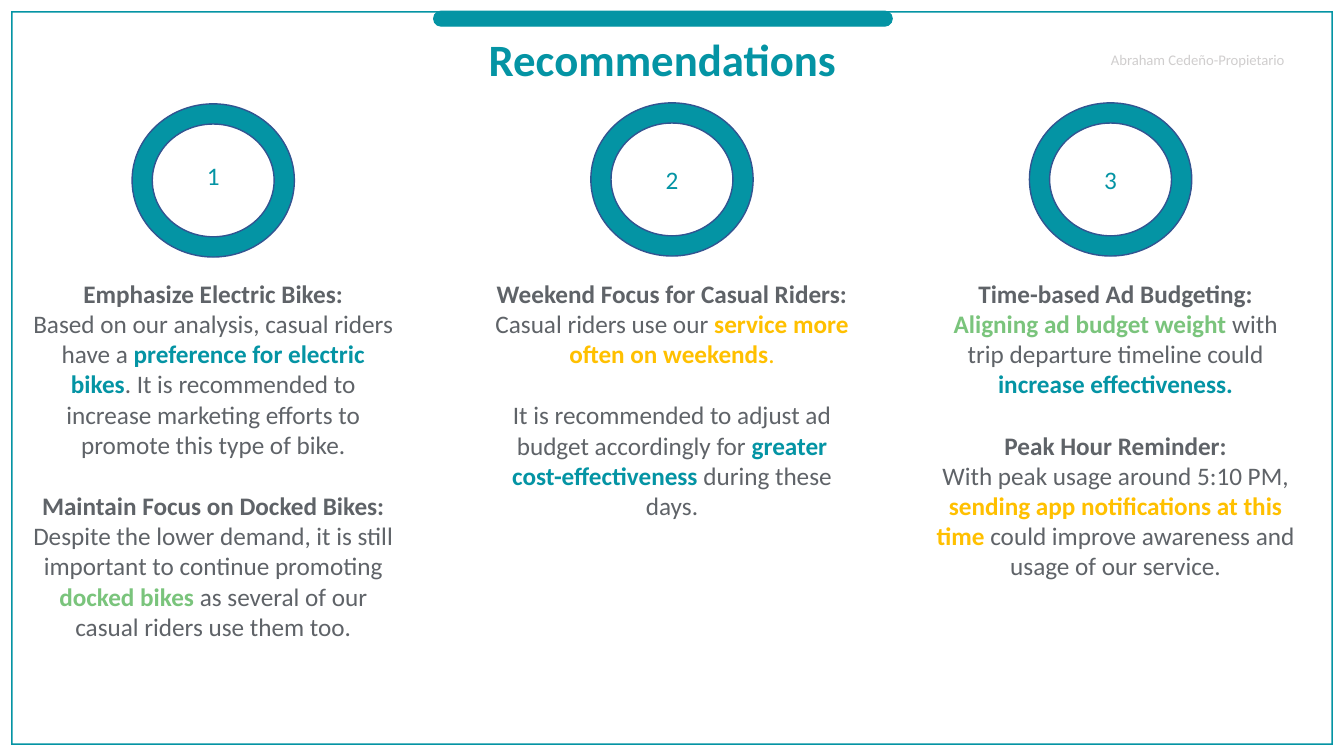
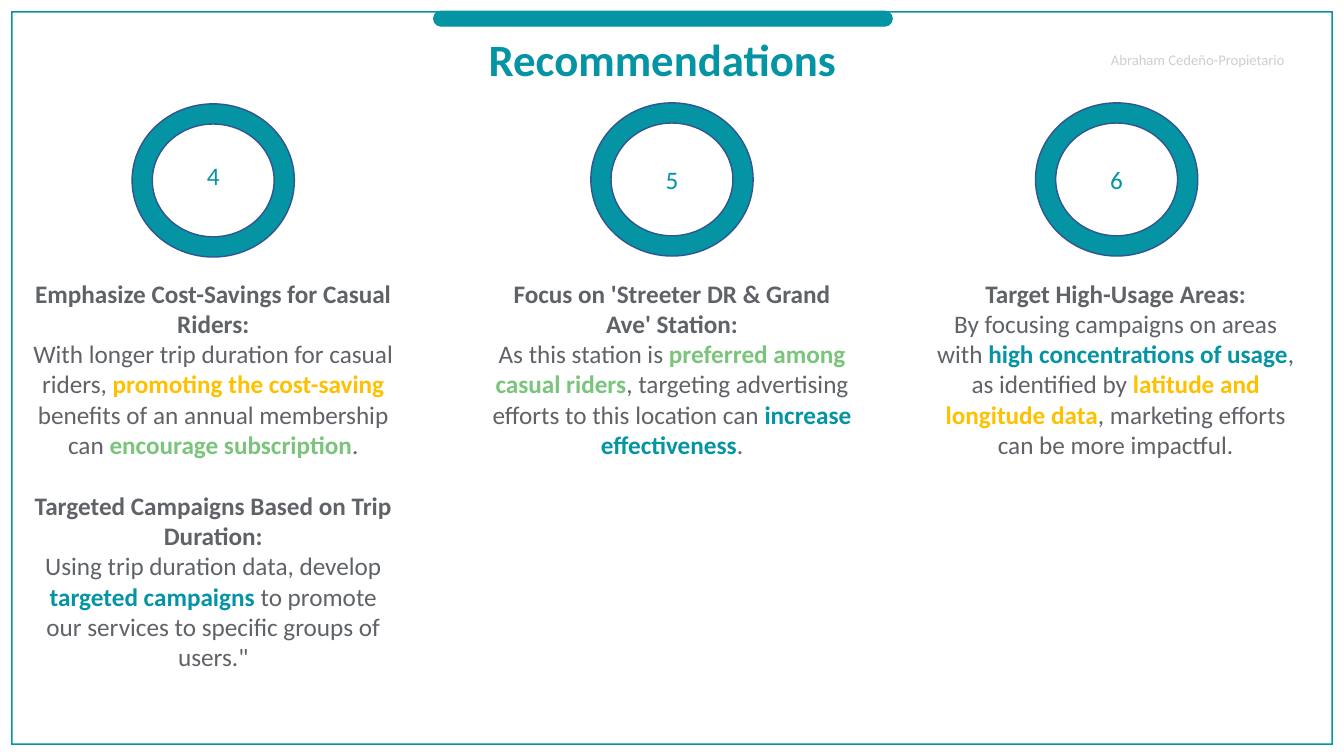
from lxml import etree
from pptx import Presentation
from pptx.dml.color import RGBColor
from pptx.enum.shapes import MSO_SHAPE
from pptx.enum.text import MSO_ANCHOR, MSO_AUTO_SIZE, PP_ALIGN
from pptx.util import Inches, Pt

FRAME, BAR, RING = MSO_SHAPE.FRAME, MSO_SHAPE.ROUNDED_RECTANGLE, MSO_SHAPE.DONUT
LEFT, CENTER = PP_ALIGN.LEFT, PP_ALIGN.CENTER
TOP, MIDDLE = MSO_ANCHOR.TOP, MSO_ANCHOR.MIDDLE
NO_FIT = MSO_AUTO_SIZE.NONE

TEAL, GREEN, GOLD = "0494A4", "7AC47C", "FFC000"
GRAY, PALE, NAVY = "5F6368", "D0CECE", "325491"
FONT = "Calibri"

# Run styles: colour and weight
STYLES = {
    "head": dict(color=GRAY, bold=True),
    "plain": dict(color=GRAY),
    "teal": dict(color=TEAL, bold=True),
    "green": dict(color=GREEN, bold=True),
    "gold": dict(color=GOLD, bold=True),
    "stop": dict(color=GOLD),
}

TITLE = "Recommendations"
OWNER = "Abraham Cedeño-Propietario"

# Slide > column > block > paragraph > run (style, text)
SLIDES = [
    [
        [
            [[("head", "Emphasize Electric Bikes:")],
             [("plain", "Based on our analysis, casual riders have a "),
              ("teal", "preference for electric bikes"),
              ("plain", ". It is recommended to increase marketing efforts "
                        "to promote this type of bike.")]],
            [[("head", "Maintain Focus on Docked Bikes:")],
             [("plain", "Despite the lower demand, it is still important "
                        "to continue promoting "),
              ("green", "docked bikes "),
              ("plain", "as several of our casual riders use them too.")]],
        ],
        [
            [[("head", "Weekend Focus for Casual Riders:")],
             [("plain", "Casual riders use our "),
              ("gold", "service more often on weekends"),
              ("stop", ".")]],
            [[("plain", "It is recommended to adjust ad budget accordingly for "),
              ("teal", "greater cost-effectiveness "),
              ("plain", "during these days.")]],
        ],
        [
            [[("head", "Time-based Ad Budgeting:")],
             [("green", "Aligning ad budget weight "),
              ("plain", "with trip departure timeline could "),
              ("teal", "increase effectiveness.")]],
            [[("head", "Peak Hour Reminder:")],
             [("plain", "With peak usage around 5:10 PM, "),
              ("gold", "sending app notifications at this time"),
              ("plain", " could improve awareness and usage of our service.")]],
        ],
    ],
    [
        [
            [[("head", "Emphasize Cost-Savings for Casual Riders:")],
             [("plain", "With longer trip duration for casual riders, "),
              ("gold", "promoting the cost-saving "),
              ("plain", "benefits of an annual membership can "),
              ("green", "encourage subscription"),
              ("plain", ".")]],
            [[("head", "Targeted Campaigns Based on Trip Duration:")],
             [("plain", "Using trip duration data, develop "),
              ("teal", "targeted campaigns"),
              ("plain", " to promote our services to specific groups "
                        "of users.\"")]],
        ],
        [
            [[("head", "Focus on 'Streeter DR & Grand Ave' Station:")],
             [("plain", "As this station is "),
              ("green", "preferred among casual riders"),
              ("plain", ", targeting advertising efforts to this location can "),
              ("teal", "increase effectiveness"),
              ("plain", ".")]],
        ],
        [
            [[("head", "Target High-Usage Areas:")],
             [("plain", "By focusing campaigns on areas with "),
              ("teal", "high concentrations of usage"),
              ("plain", ", as identified by "),
              ("gold", "latitude and longitude data"),
              ("plain", ", marketing efforts can be more impactful.")]],
        ],
    ],
]

# Left edges of the text columns; ring left, top and lift of its number
TEXT_X = (0.22, 4.77, 9.17)
RINGS = [
    [(1.31, 1.03, 0.05), (5.86, 1.02, 0), (10.21, 1.02, 0)],
    [(1.31, 1.03, 0.05), (5.86, 1.02, 0), (10.27, 1.02, 0)],
]
TEXT_Y, TEXT_W, TEXT_H = 2.71, 3.79, 4.04
RING_W, RING_H = 1.61, 1.52
BLOCK_GAP = 22


def box(*lengths):
    return [Inches(n) for n in lengths]


def paint(fmt, color):
    fmt.rgb = RGBColor.from_string(color)


def set_frame(frame, **values):
    defaults = dict(word_wrap=True, auto_size=NO_FIT, vertical_anchor=TOP)
    for name, value in {**defaults, **values}.items():
        setattr(frame, name, value)


def add_run(para, text, size, color, bold=False):
    run = para.add_run()
    run.text = text
    for name, value in dict(name=FONT, size=Pt(size), bold=bold).items():
        setattr(run.font, name, value)
    paint(run.font.color, color)


def add_text(slide, place):
    frame = slide.shapes.add_textbox(*box(*place)).text_frame
    set_frame(frame)
    return frame


def add_shape(slide, kind, place, adjust, line=None, width=0):
    shape = slide.shapes.add_shape(kind, *box(*place))
    shape.shadow.inherit = False
    shape.adjustments[0] = adjust
    shape.fill.solid()
    paint(shape.fill.fore_color, TEAL)
    if line:
        paint(shape.line.color, line)
        shape.line.width = Pt(width)
    else:
        shape.line.fill.background()
    return shape


def add_base(slide):
    """Add the owner line, border, top bar and title that all slides share."""
    para = add_text(slide, (10.92, 0.46, 2.24, 0.29)).paragraphs[0]
    add_run(para, OWNER, 10.5, PALE)
    add_shape(slide, FRAME, (0.11, 0.11, 13.11, 7.28), 0.002)
    add_shape(slide, BAR, (4.3, 0.11, 4.55, 0.15), 0.5, TEAL, 0.75)

    title = slide.shapes.title
    title.left, title.top, title.width, title.height = box(4.67, 0.26, 3.8, 0.64)
    set_frame(title.text_frame, vertical_anchor=MIDDLE)
    para = title.text_frame.paragraphs[0]
    para.alignment = CENTER
    add_run(para, TITLE, 32, TEAL, True)


def add_ring(slide, number, left, top, lift):
    ring = add_shape(slide, RING, (left, top, RING_W, RING_H), 0.132, NAVY, 1)
    set_frame(ring.text_frame, vertical_anchor=MIDDLE,
              margin_bottom=Inches(0.05 + 2 * lift))
    para = ring.text_frame.paragraphs[0]
    para.alignment = CENTER
    add_run(para, str(number), 18, TEAL)


def add_column(slide, left, blocks):
    frame = add_text(slide, (left, TEXT_Y, TEXT_W, TEXT_H))
    for b, block in enumerate(blocks):
        for p, runs in enumerate(block):
            first = b == 0 and p == 0
            para = frame.paragraphs[0] if first else frame.add_paragraph()
            para.alignment = CENTER
            if b and p == 0:
                para.space_before = Pt(BLOCK_GAP)
            for style, text in runs:
                add_run(para, text, 18, **STYLES[style])


def main():
    deck = Presentation()
    deck.slide_width, deck.slide_height = box(13.33, 7.5)
    number = 0
    for columns, rings in zip(SLIDES, RINGS):
        slide = deck.slides.add_slide(deck.slide_layouts[5])
        add_base(slide)
        for left, blocks, ring in zip(TEXT_X, columns, rings):
            number += 1
            add_ring(slide, number, *ring)
            add_column(slide, left, blocks)
    deck.save("out.pptx")


if __name__ == "__main__":
    main()
